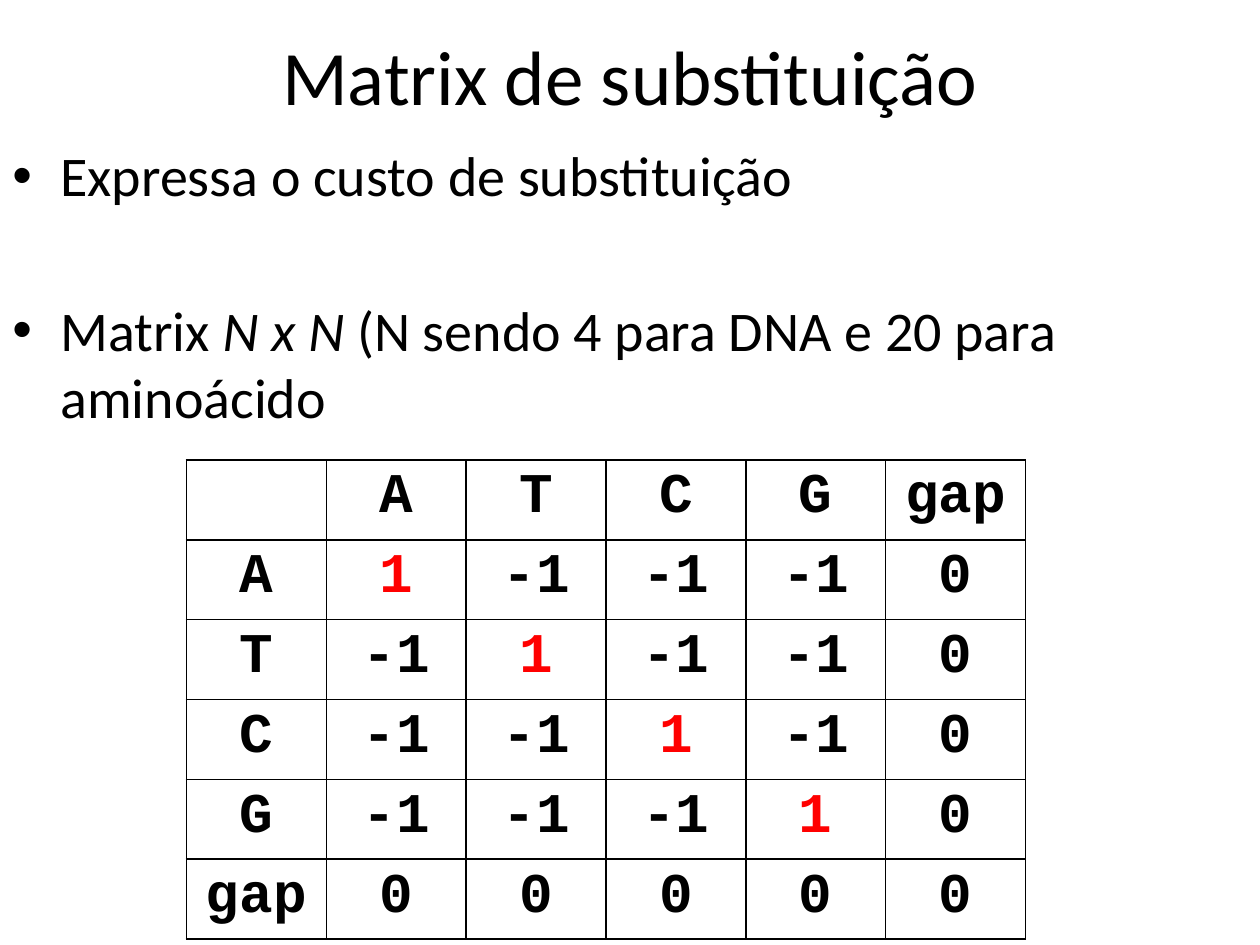
import pptx
import pptx.dml.color
import pptx.enum.text
import pptx.oxml
import pptx.oxml.ns
import pptx.util
from pptx.util import Inches

COLORS = {"text": "000000", "match": "FF0000", "border": "000000"}
BASES = ["A", "T", "C", "G"]
ALIGN = pptx.enum.text.PP_ALIGN
ANCHOR = pptx.enum.text.MSO_ANCHOR


def make_element(tag, content="", **attributes):
    """Return a DrawingML element such as a:buChar."""
    listed = " ".join(f'{name}="{value}"' for name, value in attributes.items())
    namespace = pptx.oxml.ns.nsdecls("a")
    return pptx.oxml.parse_xml(f"<a:{tag} {namespace} {listed}>{content}</a:{tag}>")


def substitution_rows():
    """Score 1 on a match, -1 on a mismatch and 0 against a gap."""
    rows = [["", *BASES, "gap"]]
    for base in BASES:
        scores = ["1" if base == other else "-1" for other in BASES]
        rows.append([base, *scores, "0"])
    rows.append(["gap"] + ["0"] * (len(BASES) + 1))
    return rows


class SlideBuilder:
    text_font = "Calibri"
    table_font = "Courier New"
    title_size = 44
    body_size = 32

    def __init__(self, presentation):
        self.slide = presentation.slides.add_slide(presentation.slide_layouts[5])

    def style(self, paragraph, name, size, color="text", bold=False):
        font = paragraph.font
        font.name, font.size, font.bold = name, pptx.util.Pt(size), bold
        font.color.rgb = pptx.dml.color.RGBColor.from_string(COLORS[color])

    def title(self, text, left, top, width, height):
        shape = self.slide.shapes.title
        shape.left, shape.top = Inches(left), Inches(top)
        shape.width, shape.height = Inches(width), Inches(height)
        frame = shape.text_frame
        frame.text = text
        frame.vertical_anchor = ANCHOR.MIDDLE
        paragraph = frame.paragraphs[0]
        paragraph.alignment = ALIGN.CENTER
        self.style(paragraph, self.text_font, self.title_size)

    def bullets(self, items, gap, left, top, width, height):
        """Add bulleted paragraphs; each item is a list of (text, italic) runs."""
        shape = self.slide.shapes.add_textbox(
            Inches(left), Inches(top), Inches(width), Inches(height))
        frame = shape.text_frame
        frame.word_wrap = True
        for index, runs in enumerate(items):
            paragraph = frame.add_paragraph() if index else frame.paragraphs[0]
            if index:
                paragraph.space_before = pptx.util.Pt(gap)
            self.style(paragraph, self.text_font, self.body_size)
            for text, italic in runs:
                run = paragraph.add_run()
                run.text = text
                if italic:
                    run.font.italic = True
            properties = paragraph._p.get_or_add_pPr()
            indent = Inches(0.38)
            properties.set("marL", str(indent))
            properties.set("indent", str(-indent))
            bullet_parts = [make_element("buFont", typeface="Arial"),
                            make_element("buChar", char="•")]
            for position, part in enumerate(bullet_parts):
                properties.insert(len(properties) - 1, part)

    def border(self, cell):
        properties = cell._tc.get_or_add_tcPr()
        fill = f'<a:solidFill><a:srgbClr val="{COLORS["border"]}"/></a:solidFill>'
        for index, side in enumerate(("lnL", "lnR", "lnT", "lnB")):
            line = make_element(side, fill, w=pptx.util.Pt(1))
            properties.insert(index, line)

    def table(self, rows, left, top, column_width, row_height):
        row_count, column_count = len(rows), len(rows[0])
        table = self.slide.shapes.add_table(
            row_count, column_count, Inches(left), Inches(top),
            Inches(column_width * column_count),
            Inches(row_height * row_count)).table
        table.first_row = table.horz_banding = False
        for row, values in zip(table.rows, rows):
            row.height = Inches(row_height)
            for cell, value in zip(row.cells, values):
                cell.text = value
                cell.fill.background()
                paragraph = cell.text_frame.paragraphs[0]
                paragraph.alignment = ALIGN.CENTER
                color = "match" if value == "1" else "text"
                self.style(paragraph, self.table_font, self.body_size, color, bold=True)
                self.border(cell)


def main():
    presentation = pptx.Presentation()
    presentation.slide_width, presentation.slide_height = Inches(10), Inches(7.5)
    builder = SlideBuilder(presentation)
    builder.title("Matrix de substituição", 0, -0.03, 10, 1.25)
    builder.bullets([
        [("Expressa o custo de substituição", False)],
        [("Matrix ", False), ("N x N", True),
         (" (N sendo 4 para DNA e 20 para aminoácido", False)],
    ], gap=50, left=0, top=1.07, width=10, height=5.8)
    builder.table(substitution_rows(), 1.48, 3.65, column_width=1.11, row_height=0.6)
    presentation.save("out.pptx")


if __name__ == "__main__":
    main()
